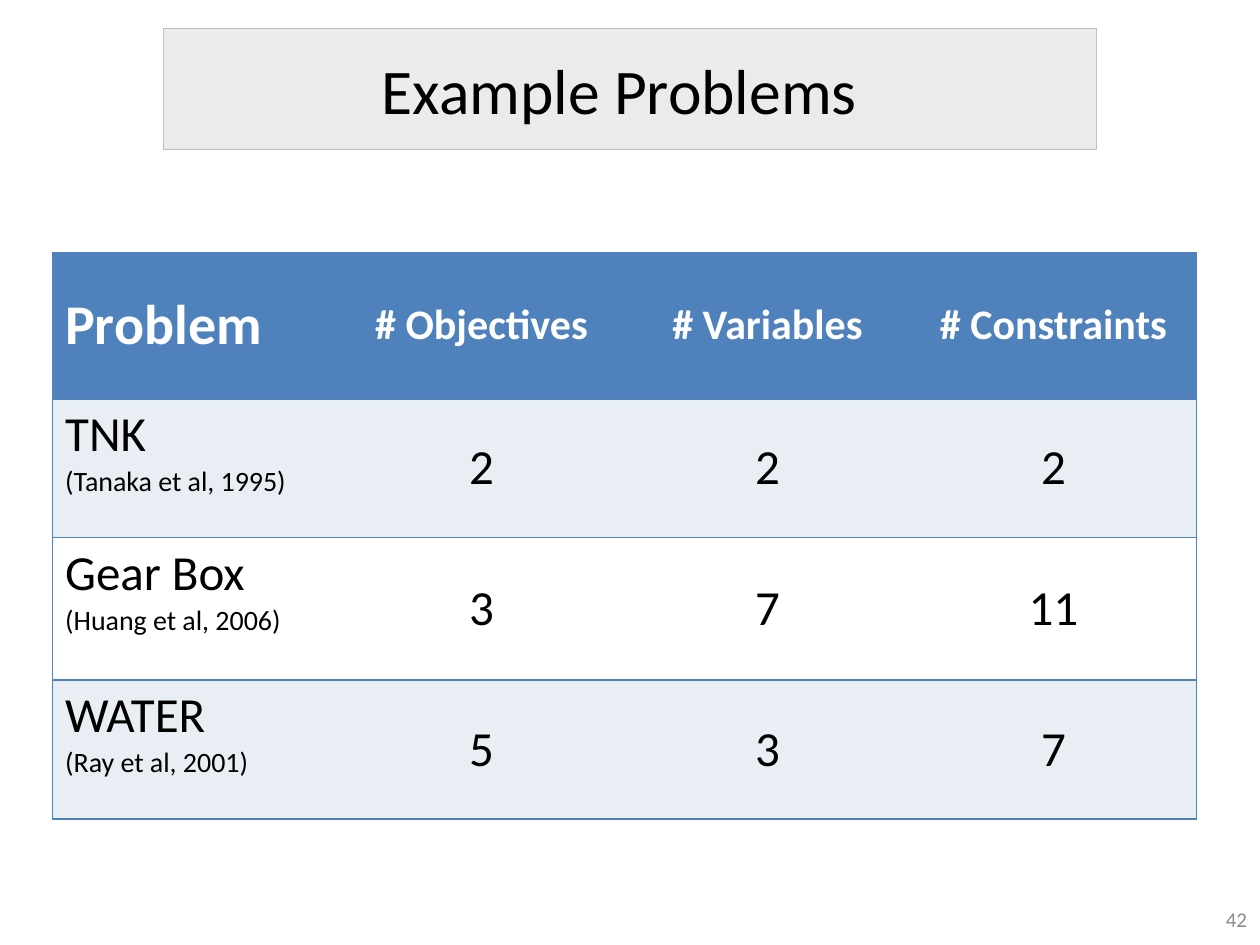
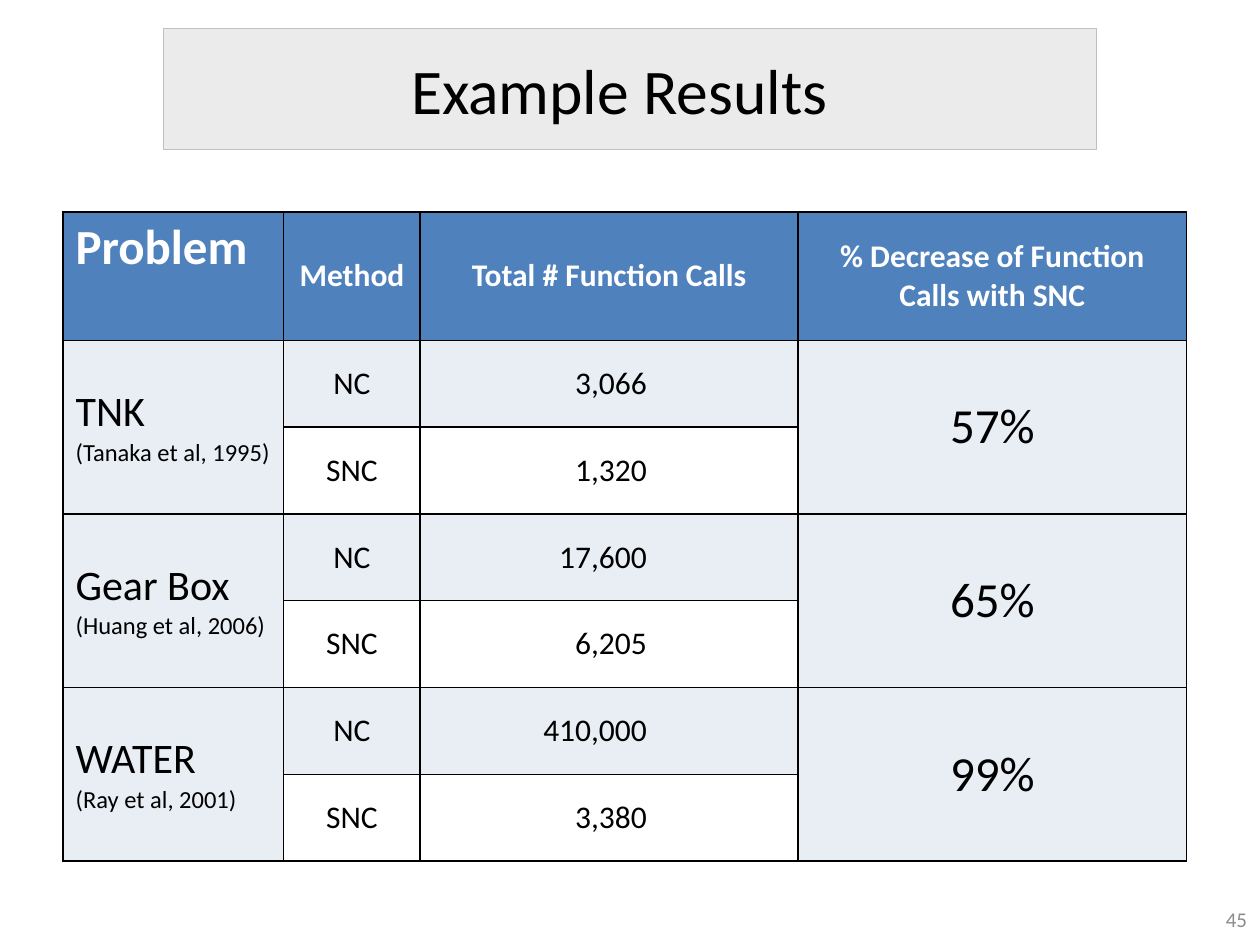
from dataclasses import dataclass

from lxml import etree
from pptx import Presentation
from pptx.dml.color import RGBColor
from pptx.enum.shapes import MSO_SHAPE
from pptx.enum.text import MSO_ANCHOR, MSO_AUTO_SIZE, PP_ALIGN
from pptx.oxml.ns import qn
from pptx.util import Cm, Pt

LEFT, CENTER, RIGHT = PP_ALIGN.LEFT, PP_ALIGN.CENTER, PP_ALIGN.RIGHT
TOP, MIDDLE = MSO_ANCHOR.TOP, MSO_ANCHOR.MIDDLE
RECTANGLE = MSO_SHAPE.RECTANGLE
NO_AUTOFIT = MSO_AUTO_SIZE.NONE
TITLE_ONLY = 5
PLAIN_TABLE = "{2D5ABB26-0587-4C30-8999-92F81FD0307C}"


@dataclass(frozen=True)
class Theme:
    """Colours, font and type sizes shared by the slides."""
    font: str = "Calibri"
    ink: str = "000000"
    paper: str = "FFFFFF"
    blue: str = "4F81BD"
    tint: str = "E9EDF4"
    silver: str = "C0C0C0"
    gray: str = "8C8C8C"
    title: float = 36.3
    head: float = 32
    large: float = 28
    medium: float = 24
    body: float = 18
    cite: float = 16
    small_cite: float = 14
    number: float = 12


T = Theme()
PROBLEMS = [
    ("TNK", "(Tanaka et al, 1995)"),
    ("Gear Box", "(Huang et al, 2006)"),
    ("WATER", "(Ray et al, 2001)"),
]
COUNTS = [("2", "2", "2"), ("3", "7", "11"), ("5", "3", "7")]
CALLS = [("3,066", "1,320"), ("17,600", "6,205"), ("410,000", "3,380")]
DECREASES = ["57%", "65%", "99%"]


def style(p, size, color=T.ink, align=LEFT, bold=False):
    """Set the font and alignment of a paragraph."""
    p.alignment = align
    p.font.name, p.font.size, p.font.bold = T.font, Pt(size), bold
    p.font.color.rgb = RGBColor.from_string(color)


def add_band(s, box):
    """Draw the translucent band behind the title."""
    band = s.shapes.add_shape(RECTANGLE, *map(Cm, box))
    band.shadow.inherit = False
    band.fill.solid()
    band.fill.fore_color.rgb = RGBColor.from_string(T.silver)
    band.line.color.rgb = RGBColor.from_string(T.silver)
    band.line.width = Pt(0.5)
    color = band._element.spPr.find(qn("a:solidFill"))[0]
    etree.SubElement(color, qn("a:alpha")).set("val", "30000")
    s.shapes._spTree.insert(2, band._element)


def add_title(s, text, box):
    """Place and format the title placeholder."""
    title = s.shapes.title
    title.left, title.top, title.width, title.height = map(Cm, box)
    tf = title.text_frame
    tf.text, tf.word_wrap, tf.auto_size = text, True, NO_AUTOFIT
    tf.vertical_anchor = MIDDLE
    style(tf.paragraphs[0], T.title, align=CENTER)


def add_page_number(s, number, box):
    """Write the page number in the bottom corner."""
    tf = s.shapes.add_textbox(*map(Cm, box)).text_frame
    tf.text, tf.word_wrap, tf.vertical_anchor = str(number), True, MIDDLE
    style(tf.paragraphs[0], T.number, T.gray, RIGHT)


def add_slide(prs, title, number):
    """Add a slide with its band, title and page number."""
    s = prs.slides.add_slide(prs.slide_layouts[TITLE_ONLY])
    add_band(s, (3.3, 0.58, 18.8, 2.44))
    add_title(s, title, (3.6, 1.07, 17.78, 1.47))
    add_page_number(s, number, (24.32, 18.01, 1.07, 1.02))
    return s


def add_grid(s, left, top, widths, heights):
    """Add an unstyled table with the given column widths and row heights."""
    box = map(Cm, (left, top, sum(widths), sum(heights)))
    table = s.shapes.add_table(len(heights), len(widths), *box).table
    table.first_row = table.horz_banding = False
    table._tbl.tblPr.find(qn("a:tableStyleId")).text = PLAIN_TABLE
    for column, width in zip(table.columns, widths):
        column.width = Cm(width)
    for row, height in zip(table.rows, heights):
        row.height = Cm(height)
    return table


def write_cell(cell, text, size, fill, color=T.ink, align=CENTER, anchor=MIDDLE, bold=False):
    """Fill a cell and write one paragraph in it."""
    cell.fill.solid()
    cell.fill.fore_color.rgb = RGBColor.from_string(fill)
    cell.vertical_anchor = anchor
    cell.text_frame.text = text
    style(cell.text_frame.paragraphs[0], size, color, align, bold)


def write_head(cell, text, size, **options):
    """Write a white bold heading on blue."""
    write_cell(cell, text, size, T.blue, T.paper, bold=True, **options)


def write_problem(cell, problem, size, cite_size, fill, anchor=MIDDLE):
    """Write a problem name with its citation on the next line."""
    name, cite = problem
    write_cell(cell, name, size, fill, align=LEFT, anchor=anchor)
    p = cell.text_frame.paragraphs[0]
    p.add_line_break()
    r = p.add_run()
    r.text, r.font.size = cite, Pt(cite_size)


def set_borders(cell, sides, color):
    """Draw one-point borders on the sides named by L, R, T and B."""
    tcPr = cell._tc.get_or_add_tcPr()
    for i, side in enumerate(sides):
        ln = etree.Element(qn(f"a:ln{side}"), w=str(Pt(1)))
        fill = etree.SubElement(ln, qn("a:solidFill"))
        etree.SubElement(fill, qn("a:srgbClr")).set("val", color)
        tcPr.insert(i, ln)


def add_problem_table(s, left, top):
    """Build the table of problem sizes."""
    heads = ["# Objectives", "# Variables", "# Constraints"]
    table = add_grid(s, left, top, [5.765] * 4, [2.95, 2.8, 2.87, 2.8])
    write_head(table.cell(0, 0), "Problem", T.head, align=LEFT)
    for col, head in enumerate(heads, 1):
        write_head(table.cell(0, col), head, T.medium)
    for row, (problem, counts) in enumerate(zip(PROBLEMS, COUNTS), 1):
        fill = T.tint if row % 2 else T.paper
        write_problem(table.cell(row, 0), problem, T.large, T.cite, fill, TOP)
        for col, count in enumerate(counts, 1):
            write_cell(table.cell(row, col), count, T.large, fill)
    edges = {0: "LTB", len(heads): "RTB"}
    for row in table.rows:
        for col, cell in enumerate(row.cells):
            set_borders(cell, edges.get(col, "TB"), T.blue)


def add_result_table(s, left, top):
    """Build the table of function calls, two rows for each problem."""
    heads = ["Method", "Total # Function Calls", "% Decrease of Function Calls with SNC"]
    table = add_grid(s, left, top, [4.45, 2.75, 7.62, 7.83], [2.59] + [1.75] * 6)
    write_head(table.cell(0, 0), "Problem", T.large, align=LEFT, anchor=TOP)
    for col, head in enumerate(heads, 1):
        write_head(table.cell(0, col), head, T.body)
    for i, (problem, calls, decrease) in enumerate(zip(PROBLEMS, CALLS, DECREASES)):
        first = 1 + 2 * i
        for col in (0, 3):
            table.cell(first, col).merge(table.cell(first + 1, col))
        write_problem(table.cell(first, 0), problem, T.medium, T.small_cite, T.tint)
        write_cell(table.cell(first, 3), decrease, T.large, T.tint)
        methods = zip(("NC", "SNC"), calls, (T.tint, T.paper))
        for row, (method, count, fill) in enumerate(methods, first):
            write_cell(table.cell(row, 1), method, T.body, fill)
            write_cell(table.cell(row, 2), count, T.body, fill, align=RIGHT)
            table.cell(row, 2).margin_right = Cm(3.05)
    for cell in table.iter_cells():
        set_borders(cell, "LRTB", T.ink)


def main():
    """Build and save the two slides."""
    prs = Presentation()
    prs.slide_width, prs.slide_height = Cm(25.4), Cm(19.05)
    s = add_slide(prs, "Example Problems", 42)
    add_problem_table(s, 1.06, 5.09)
    s = add_slide(prs, "Example Results", 45)
    add_result_table(s, 1.27, 4.27)
    prs.save("out.pptx")


if __name__ == "__main__":
    main()
